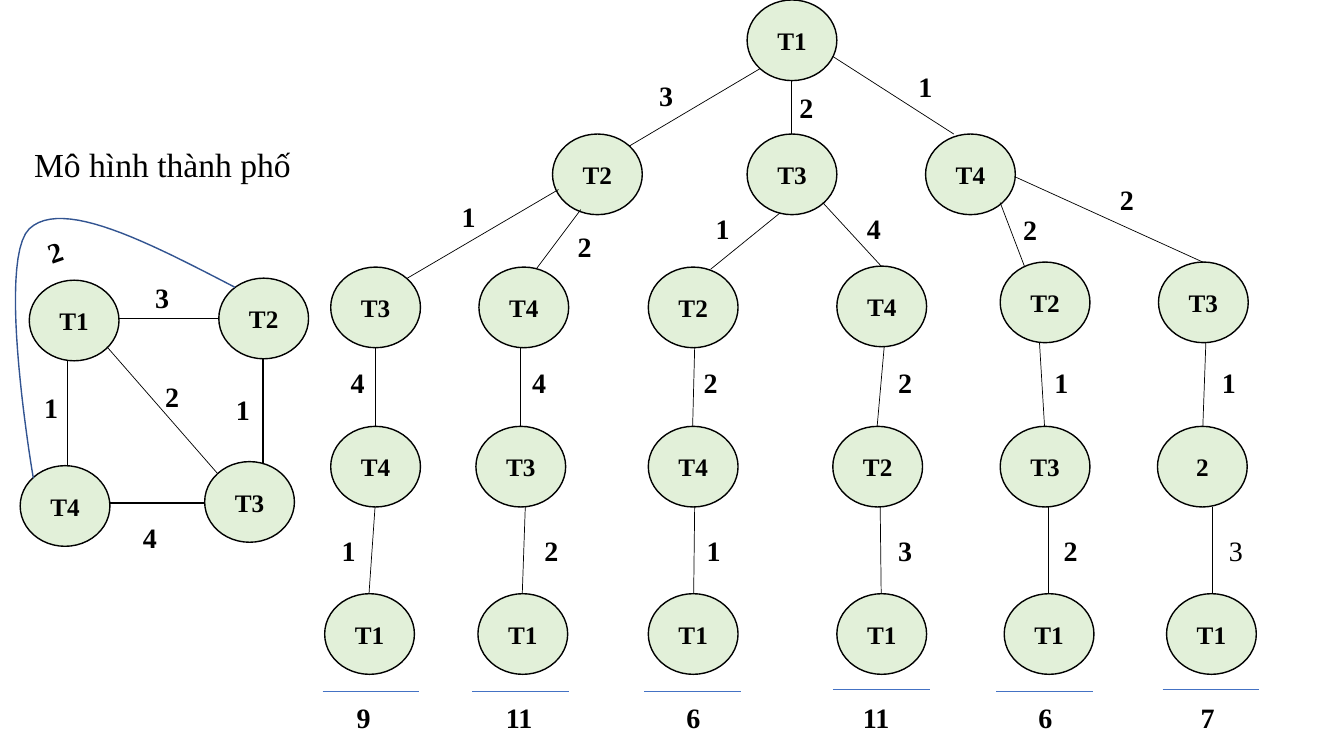
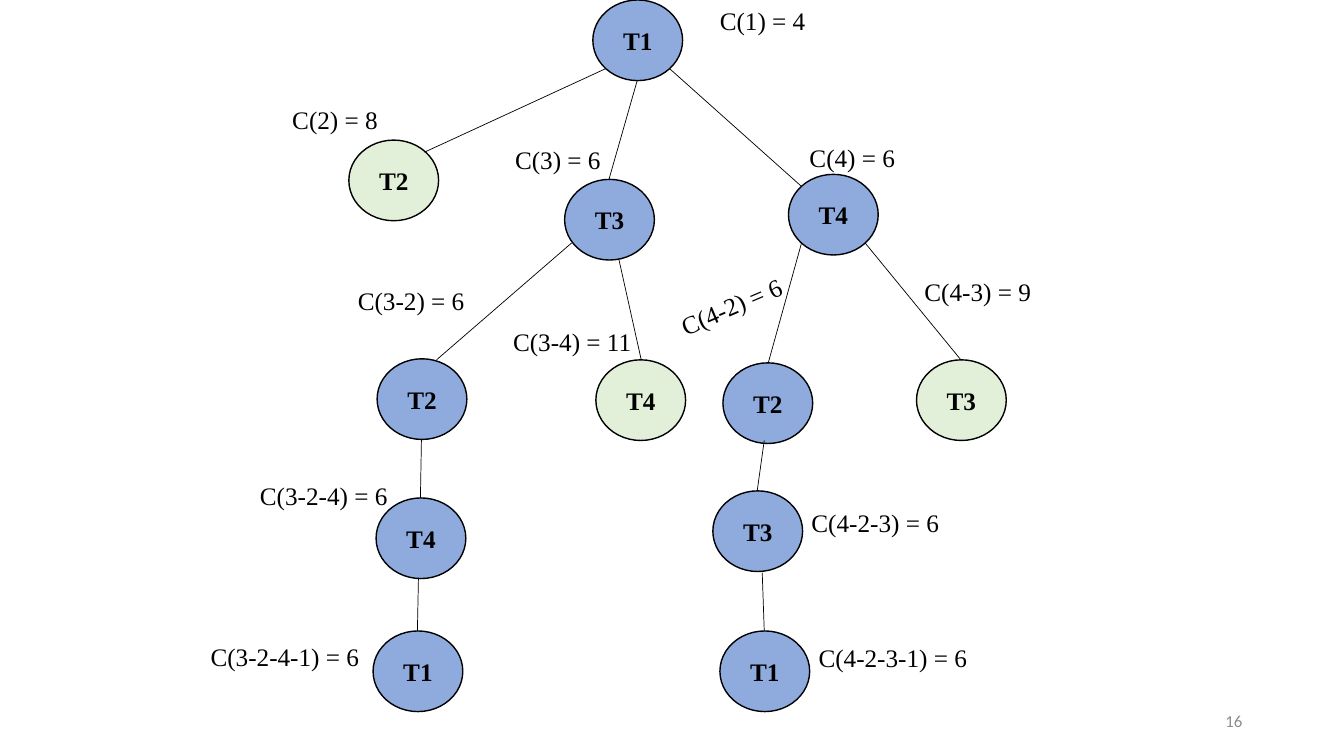
from dataclasses import dataclass

from lxml import etree
from pptx import Presentation
from pptx.dml.color import RGBColor
from pptx.enum.shapes import MSO_CONNECTOR, MSO_SHAPE
from pptx.enum.text import MSO_ANCHOR, MSO_AUTO_SIZE, PP_ALIGN
from pptx.oxml.ns import qn
from pptx.util import Inches, Pt

OVAL, RECT = MSO_SHAPE.OVAL, MSO_SHAPE.RECTANGLE
STRAIGHT = MSO_CONNECTOR.STRAIGHT
MIDDLE, GROW = MSO_ANCHOR.MIDDLE, MSO_AUTO_SIZE.SHAPE_TO_FIT_TEXT
CENTER, RIGHT = PP_ALIGN.CENTER, PP_ALIGN.RIGHT


@dataclass(frozen=True)
class Theme:
    """Colours, fonts, type sizes and line widths of both slides."""
    ink: str = "000000"
    paper: str = "FFFFFF"
    node: str = "E2F0D9"
    visited: str = "8FAADC"
    curve: str = "325491"
    total: str = "4472C4"
    muted: str = "8C8C8C"
    font: str = "Times New Roman"
    footer_font: str = "Calibri"
    title: int = 24
    cost: int = 20
    body: int = 18
    footer: int = 12
    thin: float = 0.5
    outline: float = 1


T = Theme()
NODE_W, NODE_H = 0.89, 0.8
COST_W, COST_H = 0.56, 0.44
BOUND_H = 0.4


def add_text(s, text, x, y, w, h, size, bold=False, rot=0, fill=None):
    """Add a text box, or a filled oval with centred text if fill is given."""
    box = [Inches(v) for v in (x, y, w, h)]
    if fill:
        sp = s.shapes.add_shape(OVAL, *box)
        sp.shadow.inherit = False
        sp.fill.solid()
        sp.fill.fore_color.rgb = RGBColor.from_string(fill)
        sp.line.color.rgb = RGBColor.from_string(T.ink)
        sp.line.width = Pt(T.outline)
    else:
        sp = s.shapes.add_textbox(*box)
    sp.rotation = rot
    tf = sp.text_frame
    tf.word_wrap = True
    p = tf.paragraphs[0]
    p.text = text
    p.font.name, p.font.size, p.font.bold = T.font, Pt(size), bold
    p.font.color.rgb = RGBColor.from_string(T.ink)
    if fill:
        tf.vertical_anchor, p.alignment = MIDDLE, CENTER
    else:
        tf.auto_size = GROW
    return sp


def add_line(s, x1, y1, x2, y2, color=T.ink):
    """Add a thin straight line without a shadow."""
    ln = s.shapes.add_connector(STRAIGHT, *(Inches(v) for v in (x1, y1, x2, y2)))
    ln.line.color.rgb = RGBColor.from_string(color)
    ln.line.width = Pt(T.thin)
    etree.SubElement(ln._element.spPr, qn("a:effectLst"))


prs = Presentation()
prs.slide_width, prs.slide_height = Inches(13.33), Inches(7.5)
blank = prs.slide_layouts[6]

# Slide 1: city model and the full search tree
s = prs.slides.add_slide(blank)

roads = s.shapes.add_shape(RECT, *(Inches(v) for v in (0.67, 3.16, 1.94, 1.83)))
roads.shadow.inherit = False
roads.fill.solid()
roads.fill.fore_color.rgb = RGBColor.from_string(T.paper)
roads.line.color.rgb = RGBColor.from_string(T.ink)
roads.line.width = Pt(T.outline)

cities = [("T1", 0.29, 2.78), ("T2", 2.17, 2.76), ("T4", 0.2, 4.62), ("T3", 2.03, 4.58)]
for name, x, y in cities:
    add_text(s, name, x, y, NODE_W, NODE_H, T.body, True, fill=T.node)
add_line(s, 1.06, 3.44, 2.16, 4.7)

# The outer road from T2 to T4 is two cubic Bezier curves
curves = [((2.33, 2.85), (1.48, 2.41), (0.62, 1.96), (0.29, 2.27)),
          ((0.29, 2.27), (-0.04, 2.59), (0.33, 4.74), (0.33, 4.74))]
STEPS = 24
points = []
for curve in curves:
    for i in range(1, STEPS + 1):
        t = i / STEPS
        weights = ((1 - t) ** 3, 3 * t * (1 - t) ** 2, 3 * t ** 2 * (1 - t), t ** 3)
        points.append([Inches(sum(k * pt[axis] for k, pt in zip(weights, curve)))
                       for axis in (0, 1)])
builder = s.shapes.build_freeform(*(Inches(v) for v in curves[0][0]))
builder.add_line_segments(points, close=False)
road = builder.convert_to_shape()
road.shadow.inherit = False
road.fill.background()
road.line.color.rgb = RGBColor.from_string(T.curve)
road.line.width = Pt(T.outline)

distances = [("1", 0.34, 3.82, 0), ("2", 0.37, 2.24, 340.8), ("1", 2.24, 3.84, 0),
             ("3", 1.44, 2.73, 0), ("2", 1.54, 3.72, 0), ("4", 1.32, 5.11, 0)]
for cost, x, y, rot in distances:
    add_text(s, cost, x, y, COST_W, COST_H, T.cost, True, rot)
add_text(s, "Mô hình thành phố", 0.24, 1.38, 2.96, 0.5, T.title)

# Upper part of the tree: levels 1 and 2, and the edges down to level 3
for name, x, y in [("T1", 7.41, 0), ("T2", 5.48, 1.33), ("T3", 7.41, 1.33), ("T4", 9.18, 1.33)]:
    add_text(s, name, x, y, NODE_W, NODE_H, T.body, True, fill=T.node)

# Each edge: ends, then its cost and where the cost stands
upper_edges = [
    (7.54, 0.68, 6.24, 1.45, "3", 6.44, 0.73),
    (7.85, 0.8, 7.85, 1.33, "2", 7.83, 0.85),
    (8.26, 0.56, 9.46, 1.33, "1", 9.01, 0.64),
    (5.54, 1.88, 4.04, 2.76, "1", 4.48, 1.93),
    (5.76, 2.08, 5.31, 2.68, "2", 5.63, 2.23),
    (7.74, 2.11, 7.05, 2.67, "1", 7, 2.05),
    (8.16, 2.01, 8.74, 2.64, "4", 8.5, 2.05),
    (9.92, 2.01, 10.16, 2.64, "2", 10.05, 2.06),
    (10.08, 1.76, 11.93, 2.6, "2", 11.01, 1.76),
]
for x1, y1, x2, y2, cost, x, y in upper_edges:
    add_line(s, x1, y1, x2, y2)
    add_text(s, cost, x, y, COST_W, COST_H, T.cost, True)

# Lower part: six branches, each with three nodes, two edges and a total
LEVEL_4, LEVEL_5 = 4.23, 5.89
COST_ROWS, TOTAL_ROW, BAR_W = (3.58, 5.24), 6.9, 0.96
# names, node lefts, level 3 top, edge ends (x), costs, cost lefts,
# total, total left, bar left, bar height on the slide
branches = [
    (("T3", "T4", "T1"), (3.28, 3.28, 3.22), 2.65, ((3.72, 3.72), (3.72, 3.66)),
     "41", (3.38, 3.29), "9", 3.44, 3.2, 6.86),
    (("T4", "T3", "T1"), (4.75, 4.72, 4.74), 2.65, ((5.16, 5.16), (5.21, 5.18)),
     "42", (5.18, 5.3), "11", 4.92, 4.68, 6.86),
    (("T2", "T4", "T1"), (6.43, 6.43, 6.43), 2.65, ((6.89, 6.87), (6.89, 6.88)),
     "21", (6.88, 6.91), "6", 6.71, 6.39, 6.86),
    (("T4", "T2", "T1"), (8.3, 8.26, 8.3), 2.64, ((8.77, 8.7), (8.73, 8.74)),
     "23", (8.81, 8.81), "11", 8.46, 8.26, 6.84),
    (("T2", "T3", "T1"), (9.92, 9.92, 9.96), 2.6, ((10.31, 10.36), (10.4, 10.4)),
     "12", (10.36, 10.45), "6", 10.2, 9.88, 6.86),
    (("T3", "2", "T1"), (11.49, 11.48, 11.57), 2.6, ((11.96, 11.93), (12.02, 12.02)),
     "13", (12.02, 12.09), "7", 11.81, 11.53, 6.84),
]
for names, lefts, top, ends, costs, cost_lefts, total, total_x, bar_x, bar_y in branches:
    tops = (top, LEVEL_4, LEVEL_5)
    for name, x, y in zip(names, lefts, tops):
        add_text(s, name, x, y, NODE_W, NODE_H, T.body, True, fill=T.node)
    for i, (x1, x2) in enumerate(ends):
        add_line(s, x1, tops[i] + NODE_H, x2, tops[i + 1])
        bold = (total, i) != ("7", 1)
        add_text(s, costs[i], cost_lefts[i], COST_ROWS[i], COST_W, COST_H, T.cost, bold)
    add_text(s, total, total_x, TOTAL_ROW, COST_W, COST_H, T.cost, True)
    add_line(s, bar_x, bar_y, bar_x + BAR_W, bar_y, T.total)

# Slide 2: branch and bound tree
s = prs.slides.add_slide(blank)

sp = add_text(s, "16", 9.42, 6.95, 3, 0.4, T.footer)
sp.text_frame.auto_size = MSO_AUTO_SIZE.NONE
sp.text_frame.vertical_anchor = MIDDLE
p = sp.text_frame.paragraphs[0]
p.alignment = RIGHT
p.font.name = T.footer_font
p.font.color.rgb = RGBColor.from_string(T.muted)

# Each node: name, place, colour, then its bound with place, width and rotation
bound_nodes = [
    ("T1", 5.88, 0, T.visited, "C(1) = 4", 7.04, 0, 1.38, 0),
    ("T2", 3.46, 1.39, T.node, "C(2) = 8", 2.8, 0.99, 1.38, 0),
    ("T3", 5.6, 1.78, T.visited, "C(3) = 6", 5.01, 1.38, 1.38, 0),
    ("T4", 7.82, 1.73, T.visited, "C(4) = 6", 7.93, 1.36, 1.38, 0),
    ("T2", 3.74, 3.56, T.visited, "C(3-2) = 6", 3.45, 2.78, 1.38, 0),
    ("T4", 5.91, 3.57, T.node, "C(3-4) = 11", 4.99, 3.19, 1.38, 0),
    ("T2", 7.17, 3.6, T.visited, "C(4-2) = 6", 6.62, 2.81, 1.38, 336.8),
    ("T3", 9.09, 3.57, T.node, "C(4-3) = 9", 9.07, 2.69, 1.38, 0),
    ("T4", 3.73, 4.94, T.visited, "C(3-2-4) = 6", 2.48, 4.72, 1.7, 0),
    ("T3", 7.07, 4.87, T.visited, "C(4-2-3) = 6", 7.95, 4.98, 1.7, 0),
    ("T1", 3.7, 6.26, T.visited, "C(3-2-4-1) = 6", 1.99, 6.31, 1.7, 0),
    ("T1", 7.14, 6.26, T.visited, "C(4-2-3-1) = 6", 8.02, 6.32, 1.7, 0),
]
for name, x, y, fill, bound, bound_x, bound_y, bound_w, rot in bound_nodes:
    add_text(s, name, x, y, NODE_W, NODE_H, T.body, True, fill=fill)
    add_text(s, bound, bound_x, bound_y, bound_w, BOUND_H, T.body, rot=rot)

bound_edges = [
    (6.01, 0.68, 4.21, 1.51), (6.32, 0.8, 6.04, 1.78), (6.64, 0.68, 7.95, 1.85),
    (7.95, 2.41, 7.62, 3.6), (8.58, 2.41, 9.53, 3.57), (5.67, 2.41, 4.33, 3.57),
    (6.14, 2.58, 6.36, 3.57), (4.18, 4.36, 4.17, 4.94), (7.58, 4.37, 7.51, 4.87),
    (4.15, 5.74, 4.14, 6.26), (7.56, 5.68, 7.58, 6.26),
]
for edge in bound_edges:
    add_line(s, *edge)

prs.save("out.pptx")
